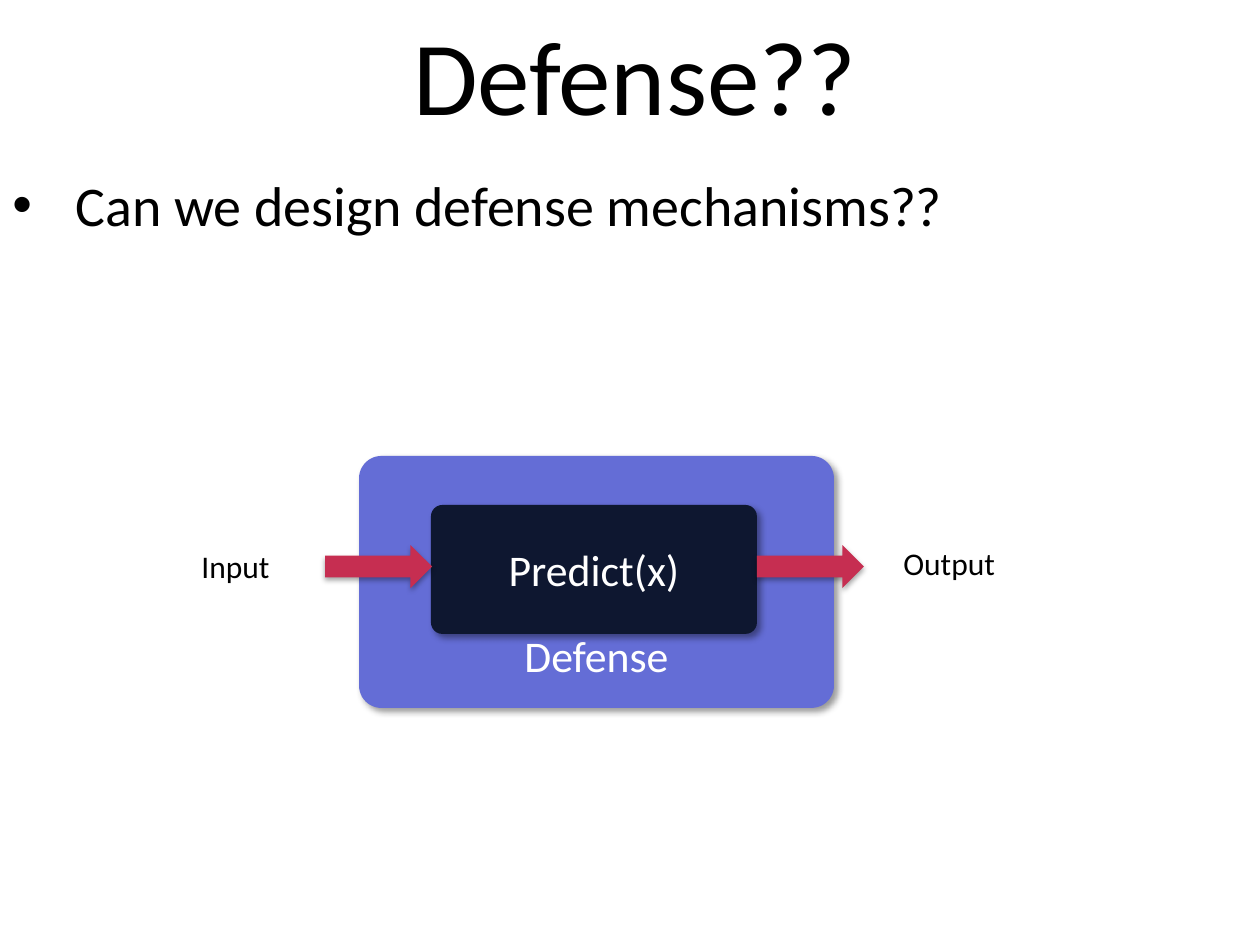
import lxml.etree
import pptx
import pptx.dml.color
import pptx.enum.shapes
import pptx.enum.text
import pptx.oxml.ns
import pptx.util

RGBColor = pptx.dml.color.RGBColor
Shapes = pptx.enum.shapes.MSO_SHAPE
Align = pptx.enum.text.PP_ALIGN
Anchor = pptx.enum.text.MSO_ANCHOR
AutoSize = pptx.enum.text.MSO_AUTO_SIZE
qn = pptx.oxml.ns.qn

BLACK = RGBColor(0x00, 0x00, 0x00)
WHITE = RGBColor(0xFF, 0xFF, 0xFF)
VIOLET = RGBColor(0x64, 0x6D, 0xD6)
NAVY = RGBColor(0x0E, 0x17, 0x30)
CRIMSON = RGBColor(0xC6, 0x2E, 0x51)

PX_PER_INCH = 126
SLIDE_WIDTH, SLIDE_HEIGHT = 1260, 945
BULLET_INDENT = 63


def px(length):
    return pptx.util.Emu(round(length * 914400 / PX_PER_INCH))


class SlideBuilder:
    font_name = "Calibri"
    corner_ratio = 0.089

    def __init__(self, presentation):
        self.slide = presentation.slides.add_slide(presentation.slide_layouts[5])

    def add_run(self, paragraph, text, size, color):
        run = paragraph.add_run()
        run.text = text
        run.font.name = self.font_name
        run.font.size = pptx.util.Pt(size)
        run.font.color.rgb = color

    def title(self, text, left, top, width, height):
        shape = self.slide.shapes.title
        shape.left, shape.top = px(left), px(top)
        shape.width, shape.height = px(width), px(height)
        frame = shape.text_frame
        frame.auto_size = AutoSize.NONE
        frame.vertical_anchor = Anchor.MIDDLE
        frame.paragraphs[0].alignment = Align.CENTER
        self.add_run(frame.paragraphs[0], text, 60, BLACK)

    def text(self, text, left, top, width, height, size):
        box = self.slide.shapes.add_textbox(px(left), px(top), px(width), px(height))
        box.text_frame.word_wrap = True
        paragraph = box.text_frame.paragraphs[0]
        self.add_run(paragraph, text, size, BLACK)
        return paragraph

    def bullet(self, text, left, top, width, height):
        paragraph = self.text(text, left, top, width, height, 32)
        properties = paragraph._p.get_or_add_pPr()
        properties.set("marL", str(px(BULLET_INDENT)))
        properties.set("indent", str(-px(BULLET_INDENT)))
        lxml.etree.SubElement(properties, qn("a:buFont"), typeface="Arial")
        lxml.etree.SubElement(properties, qn("a:buChar"), char="•")

    def shadow(self, shape, opacity, blur, distance, angle):
        """Give the shape an outer shadow: percent, points, points, degrees."""
        shape.shadow.inherit = False
        effects = shape._element.spPr.find(qn("a:effectLst"))
        outer = lxml.etree.SubElement(
            effects, qn("a:outerShdw"),
            blurRad=str(pptx.util.Pt(blur)), dist=str(pptx.util.Pt(distance)),
            dir=str(angle * 60000), rotWithShape="0")
        color = lxml.etree.SubElement(outer, qn("a:srgbClr"), val=str(BLACK))
        lxml.etree.SubElement(color, qn("a:alpha"), val=str(opacity * 1000))

    def shape(self, kind, left, top, width, height, fill):
        shape = self.slide.shapes.add_shape(kind, px(left), px(top), px(width), px(height))
        shape.fill.solid()
        shape.fill.fore_color.rgb = fill
        shape.line.fill.background()
        return shape

    def block(self, text, left, top, width, height, fill, anchor):
        block = self.shape(Shapes.ROUNDED_RECTANGLE, left, top, width, height, fill)
        block.adjustments[0] = self.corner_ratio
        self.shadow(block, 40, 4, 3, 45)
        frame = block.text_frame
        frame.word_wrap = True
        frame.vertical_anchor = anchor
        frame.paragraphs[0].alignment = Align.CENTER
        self.add_run(frame.paragraphs[0], text, 25, WHITE)
        return frame

    def arrow(self, left, top, width, height):
        arrow = self.shape(Shapes.RIGHT_ARROW, left, top, width, height, CRIMSON)
        self.shadow(arrow, 35, 3.1, 1.8, 90)


def main():
    presentation = pptx.Presentation()
    presentation.slide_width = px(SLIDE_WIDTH)
    presentation.slide_height = px(SLIDE_HEIGHT)

    builder = SlideBuilder(presentation)
    builder.title("Defense??", 5, -28, 1260, 203)
    builder.bullet("Can we design defense mechanisms??", 0, 164, 1275, 420)

    defense = builder.block("Defense", 359, 456, 475, 252, VIOLET, Anchor.BOTTOM)
    defense.margin_bottom = px(20)
    builder.block("Predict(x)", 431, 505, 326, 129, NAVY, Anchor.MIDDLE)

    for arrow_left in (325, 757):
        builder.arrow(arrow_left, 545, 107, 43)
    builder.text("Input", 189, 541, 121, 50, 18)
    builder.text("Output", 891, 538, 121, 50, 18)

    presentation.save("out.pptx")


if __name__ == "__main__":
    main()
